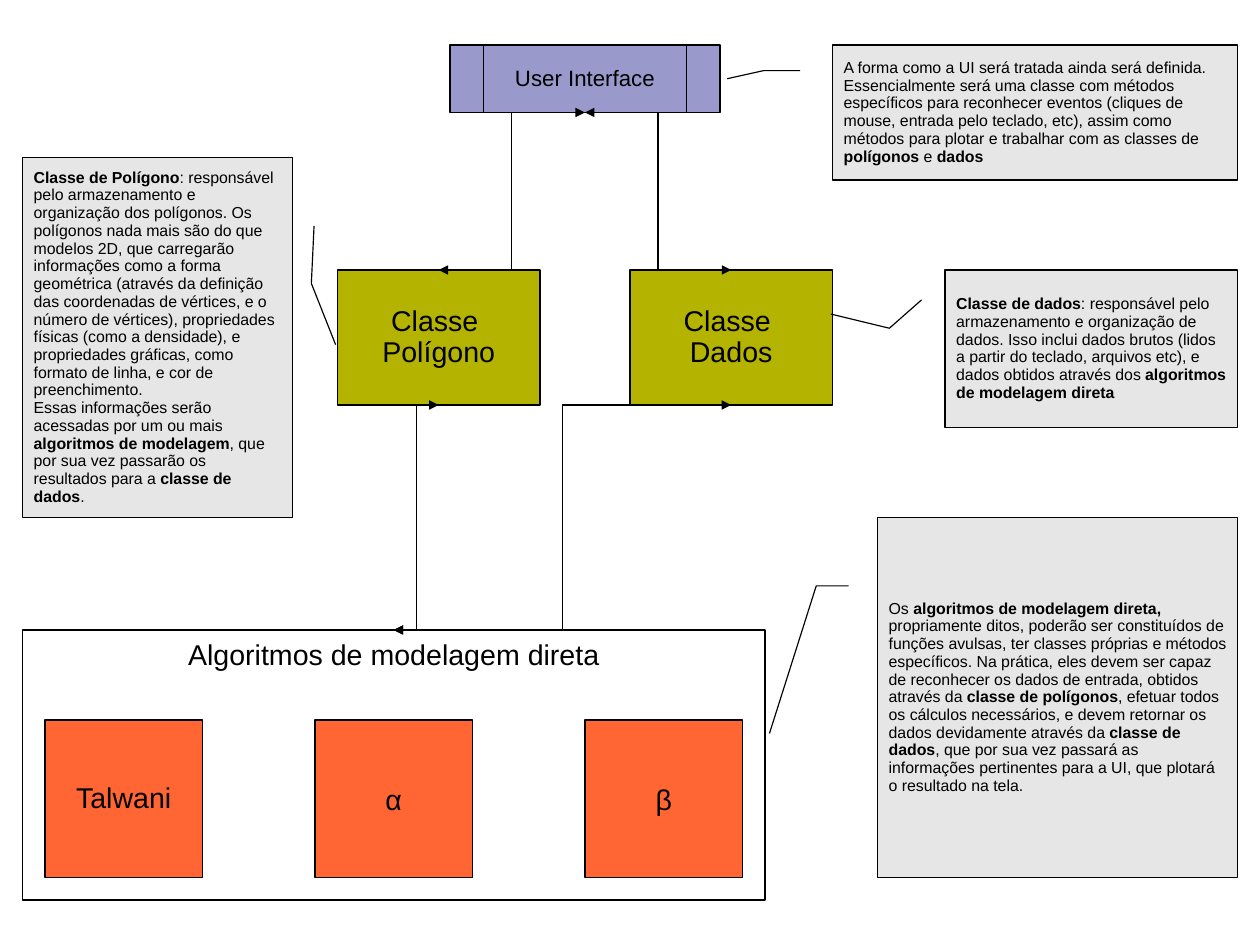
from dataclasses import dataclass

from lxml import etree
from pptx import Presentation
from pptx import util as u
from pptx.dml import color
from pptx.enum import shapes, text
from pptx.oxml import ns

FONT = "Arial"
BLACK, GREY, WHITE = "000000", "E6E6E6", "FFFFFF"
LILAC, OLIVE, ORANGE = "9999CC", "B3B300", "FF6633"
PROCESS = shapes.MSO_SHAPE.FLOWCHART_PROCESS


@dataclass(frozen=True)
class Block:
    """A box of the diagram, in centimetres; **words** are bold."""
    label: str
    left: float
    top: float
    width: float
    height: float
    fill: str
    size: int = 18
    kind: shapes.MSO_SHAPE = PROCESS
    spacing: float = 0.93
    heading: bool = False


@dataclass(frozen=True)
class Note:
    """A callout; leader holds y, x pairs as shares of the box."""
    label: str
    left: float
    top: float
    width: float
    height: float
    leader: tuple[float, ...]


def rgb(code: str) -> color.RGBColor:
    return color.RGBColor.from_string(code)


def outline(line) -> None:
    line.color.rgb = rgb(BLACK)
    line.width = u.Pt(0.75)


def write_label(frame, label: str, size: int, spacing: float, align) -> None:
    for index, line in enumerate(label.split("\n")):
        paragraph = frame.add_paragraph() if index else frame.paragraphs[0]
        paragraph.alignment = align
        paragraph.line_spacing = spacing
        for part, words in enumerate(line.split("**")):
            if not words:
                continue
            run = paragraph.add_run()
            run.text = words
            run.font.name = FONT
            run.font.size = u.Pt(size)
            run.font.bold = part % 2 == 1
            run.font.color.rgb = rgb(BLACK)


def add_box(slide, kind, item: Block | Note, fill: str):
    box = slide.shapes.add_shape(kind, u.Cm(item.left), u.Cm(item.top),
                                 u.Cm(item.width), u.Cm(item.height))
    box.shadow.inherit = False
    box.fill.solid()
    box.fill.fore_color.rgb = rgb(fill)
    outline(box.line)
    frame = box.text_frame
    frame.margin_left = frame.margin_right = u.Cm(0.25)
    frame.margin_top = frame.margin_bottom = u.Cm(0.13)
    frame.vertical_anchor = text.MSO_ANCHOR.MIDDLE
    return box


def draw_block(slide, block: Block) -> None:
    frame = add_box(slide, block.kind, block, block.fill).text_frame
    frame.word_wrap = False
    if block.heading:
        frame.vertical_anchor = text.MSO_ANCHOR.TOP
        frame.margin_top = u.Cm(0.23)
    write_label(frame, block.label, block.size, block.spacing,
                text.PP_ALIGN.CENTER)


def draw_note(slide, note: Note) -> None:
    box = add_box(slide, shapes.MSO_SHAPE.LINE_CALLOUT_2, note, GREY)
    for index, share in enumerate(note.leader):
        box.adjustments[index] = share
    box.text_frame.word_wrap = True
    write_label(box.text_frame, note.label, 10, 0.93, text.PP_ALIGN.LEFT)


def draw_link(slide, upper: Block, lower: Block) -> None:
    """Two-headed elbow from the bottom of one block to the top of another."""
    link = slide.shapes.add_connector(
        shapes.MSO_CONNECTOR.ELBOW,
        u.Cm(upper.left + upper.width / 2), u.Cm(upper.top + upper.height),
        u.Cm(lower.left + lower.width / 2), u.Cm(lower.top))
    outline(link.line)
    properties = link._element.spPr
    line_xml = properties.find(ns.qn("a:ln"))
    for end in ("a:headEnd", "a:tailEnd"):
        etree.SubElement(line_xml, ns.qn(end), type="triangle")
    etree.SubElement(properties, ns.qn("a:effectLst"))


# Classes and interface
interface = Block("User Interface", 10, 1, 6, 1.5, LILAC, size=14,
                  kind=shapes.MSO_SHAPE.FLOWCHART_PREDEFINED_PROCESS)
polygon_class = Block("Classe \nPolígono", 7.5, 6, 4.5, 3, OLIVE)
data_class = Block("Classe \nDados", 14, 6, 4.5, 3, OLIVE)

# Modelling algorithms, evenly spaced inside their frame
algorithms = Block("Algoritmos de modelagem direta", 0.5, 14, 16.5, 6, WHITE,
                   heading=True)
methods = [Block(name, 1 + 6 * column, 16, 3.5, 3.5, ORANGE, spacing=spacing)
           for column, (name, spacing) in enumerate(
               [("Talwani", 0.93), ("α", 1.02), ("β", 1.02)])]

links = [(interface, polygon_class), (interface, data_class),
         (data_class, algorithms), (polygon_class, algorithms)]

# Explanations
notes = [
    Note("A forma como a UI será tratada ainda será definida.\n"
         "Essencialmente será uma classe com métodos específicos para "
         "reconhecer eventos (cliques de mouse, entrada pelo teclado, etc), "
         "assim como métodos para plotar e trabalhar com as classes de "
         "**polígonos** e **dados**",
         18.5, 1, 9, 3, (0.19, -0.08, 0.19, -0.17, 0.25, -0.26)),
    Note("**Classe de dados**: responsável pelo armazenamento e organização "
         "de dados. Isso inclui dados brutos (lidos a partir do teclado, "
         "arquivos etc), e dados obtidos através dos "
         "**algoritmos de modelagem direta**",
         21, 6, 6.5, 3.5, (0.19, -0.08, 0.37, -0.19, 0.28, -0.39)),
    Note("**Classe de Polígono**: responsável pelo armazenamento e "
         "organização dos polígonos. Os polígonos nada mais são do que "
         "modelos 2D, que carregarão informações como a forma geométrica "
         "(através da definição das coordenadas de vértices, e o número de "
         "vértices), propriedades físicas (como a densidade), e propriedades "
         "gráficas, como formato de linha, e cor de preenchimento.\n"
         "Essas informações serão acessadas por um ou mais "
         "**algoritmos de modelagem**, que por sua vez passarão os "
         "resultados para a **classe de dados**.",
         0.5, 3.5, 6, 8, (0.19, 1.08, 0.35, 1.07, 0.52, 1.16)),
    Note("Os **algoritmos de modelagem direta,** propriamente ditos, poderão "
         "ser constituídos de funções avulsas, ter classes próprias e "
         "métodos específicos. Na prática, eles devem ser capaz de "
         "reconhecer os dados de entrada, obtidos através da "
         "**classe de polígonos**, efetuar todos os cálculos necessários, e "
         "devem retornar os dados devidamente através da "
         "**classe de dados**, que por sua vez passará as informações "
         "pertinentes para a UI, que plotará o resultado na tela.",
         19.5, 11.5, 8, 8, (0.19, -0.08, 0.19, -0.17, 0.6, -0.3)),
]


def main() -> None:
    deck = Presentation()
    deck.slide_width, deck.slide_height = u.Cm(28), u.Cm(21)
    slide = deck.slides.add_slide(deck.slide_layouts[6])
    for block in (interface, polygon_class, data_class, algorithms, *methods):
        draw_block(slide, block)
    for upper, lower in links:
        draw_link(slide, upper, lower)
    for note in notes:
        draw_note(slide, note)
    deck.save("out.pptx")


if __name__ == "__main__":
    main()
